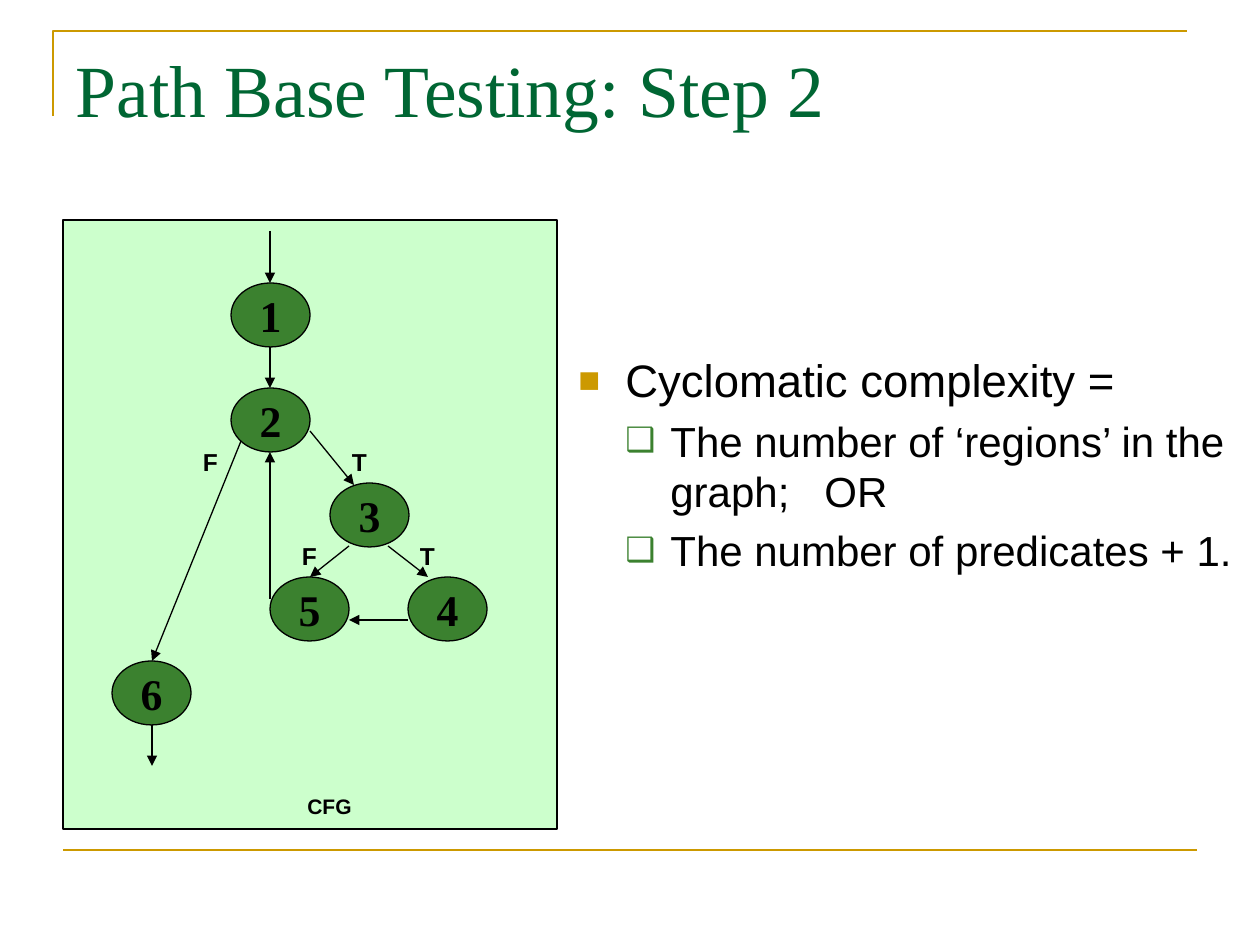
from dataclasses import dataclass

from lxml import etree
from pptx import Presentation
from pptx.dml.color import RGBColor
from pptx.enum.shapes import MSO_CONNECTOR, MSO_SHAPE
from pptx.enum.text import MSO_ANCHOR, MSO_AUTO_SIZE, PP_ALIGN
from pptx.oxml.ns import qn
from pptx.util import Emu, Pt

STRAIGHT = MSO_CONNECTOR.STRAIGHT
RECT, OVAL = MSO_SHAPE.RECTANGLE, MSO_SHAPE.OVAL
LEFT, CENTER = PP_ALIGN.LEFT, PP_ALIGN.CENTER
TOP, MIDDLE = MSO_ANCHOR.TOP, MSO_ANCHOR.MIDDLE
NO_FIT = MSO_AUTO_SIZE.NONE
EMU_PER_PX = 914400 / 126
NODE_W, NODE_H = 79, 64
LABEL_W, LABEL_H = 59, 42
SERIF, SANS = "Times New Roman", "Arial"
COLORS = {"gold": "CC9900", "title": "006633", "panel": "CCFFCC",
          "node": "3B812F", "black": "000000"}


@dataclass
class Node:
    text: str
    x: int
    y: int


@dataclass
class Label:
    text: str
    x: int
    y: int
    w: int = LABEL_W
    h: int = LABEL_H
    size: int = 14


@dataclass
class Edge:
    x1: int
    y1: int
    x2: int
    y2: int


@dataclass
class Bullet:
    texts: tuple
    size: int
    char: str
    color: str
    margin: int
    hang: int
    level: int = 0
    before: float = 0


NODES = [Node("1", 231, 283), Node("2", 231, 388), Node("3", 330, 483),
         Node("4", 408, 577), Node("5", 270, 577), Node("6", 112, 661)]
LABELS = [Label("F", 181, 441), Label("T", 330, 441),
          Label("F", 280, 535), Label("T", 398, 535),
          Label("CFG", 290, 787, 79, 38, 12)]
EDGES = [Edge(270, 231, 270, 283), Edge(270, 347, 270, 388),
         Edge(310, 431, 354, 485), Edge(349, 546, 310, 577),
         Edge(388, 546, 428, 577), Edge(241, 441, 152, 661),
         Edge(152, 725, 152, 766), Edge(408, 620, 349, 620),
         Edge(270, 599, 270, 452)]
BULLETS = [
    Bullet(("Cyclomatic complexity =",), 26, "■", "gold", 47, 47),
    Bullet(("The number of ‘regions’ in the graph;", " ", "OR"),
           24, "❑", "node", 92, 45, 1, 4.8),
    Bullet(("The number of predicates + 1.",), 24, "❑", "node", 92, 45, 1, 4.8),
]


def px(n: int) -> Emu:
    return Emu(round(n * EMU_PER_PX))


def box(*values: int) -> list:
    return [px(v) for v in values]


def rgb(name: str) -> RGBColor:
    return RGBColor.from_string(COLORS[name])


def set_line(sp, color: str, width: float) -> None:
    sp.line.color.rgb = rgb(color)
    sp.line.width = Pt(width)


def add_run(p, text: str, color: str, **fmt):
    r = p.add_run()
    r.text = text
    r.font.color.rgb = rgb(color)
    for name, value in fmt.items():
        setattr(r.font, name, value)
    return r


def set_frame(tf, anchor) -> None:
    fmt = {"word_wrap": True, "auto_size": NO_FIT, "vertical_anchor": anchor}
    for name, value in fmt.items():
        setattr(tf, name, value)


def add_line(shapes, e: Edge, color: str, width: float, arrow: bool = False) -> None:
    c = shapes.add_connector(STRAIGHT, *box(e.x1, e.y1, e.x2, e.y2))
    set_line(c, color, width)
    spPr = c._element.spPr
    if arrow:
        etree.SubElement(spPr.find(qn("a:ln")), qn("a:tailEnd"), type="triangle")
    etree.SubElement(spPr, qn("a:effectLst"))


def add_filled(shapes, kind, bounds: list, fill: str, width: float):
    sp = shapes.add_shape(kind, *bounds)
    sp.shadow.inherit = False
    sp.fill.solid()
    sp.fill.fore_color.rgb = rgb(fill)
    set_line(sp, "black", width)
    return sp


def add_node(shapes, n: Node) -> None:
    sp = add_filled(shapes, OVAL, box(n.x, n.y, NODE_W, NODE_H), "node", 0.75)
    set_frame(sp.text_frame, MIDDLE)
    p = sp.text_frame.paragraphs[0]
    p.alignment = CENTER
    add_run(p, n.text, "black", size=Pt(25), name=SERIF, bold=True)


def add_label(shapes, lb: Label) -> None:
    tf = shapes.add_textbox(*box(lb.x, lb.y, lb.w, lb.h)).text_frame
    set_frame(tf, TOP)
    p = tf.paragraphs[0]
    p.alignment = CENTER
    add_run(p, lb.text, "black", size=Pt(lb.size), name=SANS, bold=True)


def add_bullet(p, b: Bullet) -> None:
    p.level = b.level
    p.space_before = Pt(b.before)
    pPr = p._p.get_or_add_pPr()
    pPr.set("marL", str(px(b.margin)))
    pPr.set("indent", str(-px(b.hang)))
    clr = etree.SubElement(pPr, qn("a:buClr"))
    etree.SubElement(clr, qn("a:srgbClr"), val=COLORS[b.color])
    etree.SubElement(pPr, qn("a:buSzPct"), val="80000")
    etree.SubElement(pPr, qn("a:buFont"), typeface=SANS)
    etree.SubElement(pPr, qn("a:buChar"), char=b.char)
    for text in b.texts:
        r = add_run(p, text, "black", size=Pt(b.size), name=SANS)
        if text == " ":  # widen the gap by letter spacing
            r.font._element.set("spc", "1330")


def main() -> None:
    prs = Presentation()
    prs.slide_width, prs.slide_height = box(1260, 945)
    s = prs.slides.add_slide(prs.slide_layouts[5])

    # Gold frame lines
    fb = s.shapes.build_freeform(px(53), px(116))
    fb.add_line_segments([box(53, 31), box(1187, 31)], close=False)
    corner = fb.convert_to_shape()
    corner.shadow.inherit = False
    corner.fill.background()
    set_line(corner, "gold", 1.5)
    add_line(s.shapes, Edge(63, 850, 1197, 850), "gold", 1.5)

    # Title
    title = s.shapes.title
    title.left, title.top, title.width, title.height = box(63, 38, 1134, 157)
    set_frame(title.text_frame, TOP)
    p = title.text_frame.paragraphs[0]
    p.alignment = LEFT
    add_run(p, "Path Base Testing: Step 2", "title", size=Pt(42), name=SERIF)

    # Control flow graph
    graph = s.shapes.add_group_shape().shapes
    add_filled(graph, RECT, box(63, 220, 494, 609), "panel", 1)
    for node in NODES:
        add_node(graph, node)
    for label in LABELS:
        add_label(graph, label)
    for edge in EDGES:
        add_line(graph, edge, "black", 0.75, arrow=True)

    # Complexity rules
    tf = s.shapes.add_textbox(*box(566, 346, 683, 347)).text_frame
    set_frame(tf, TOP)
    for i, bullet in enumerate(BULLETS):
        add_bullet(tf.add_paragraph() if i else tf.paragraphs[0], bullet)

    prs.save("out.pptx")


if __name__ == "__main__":
    main()
